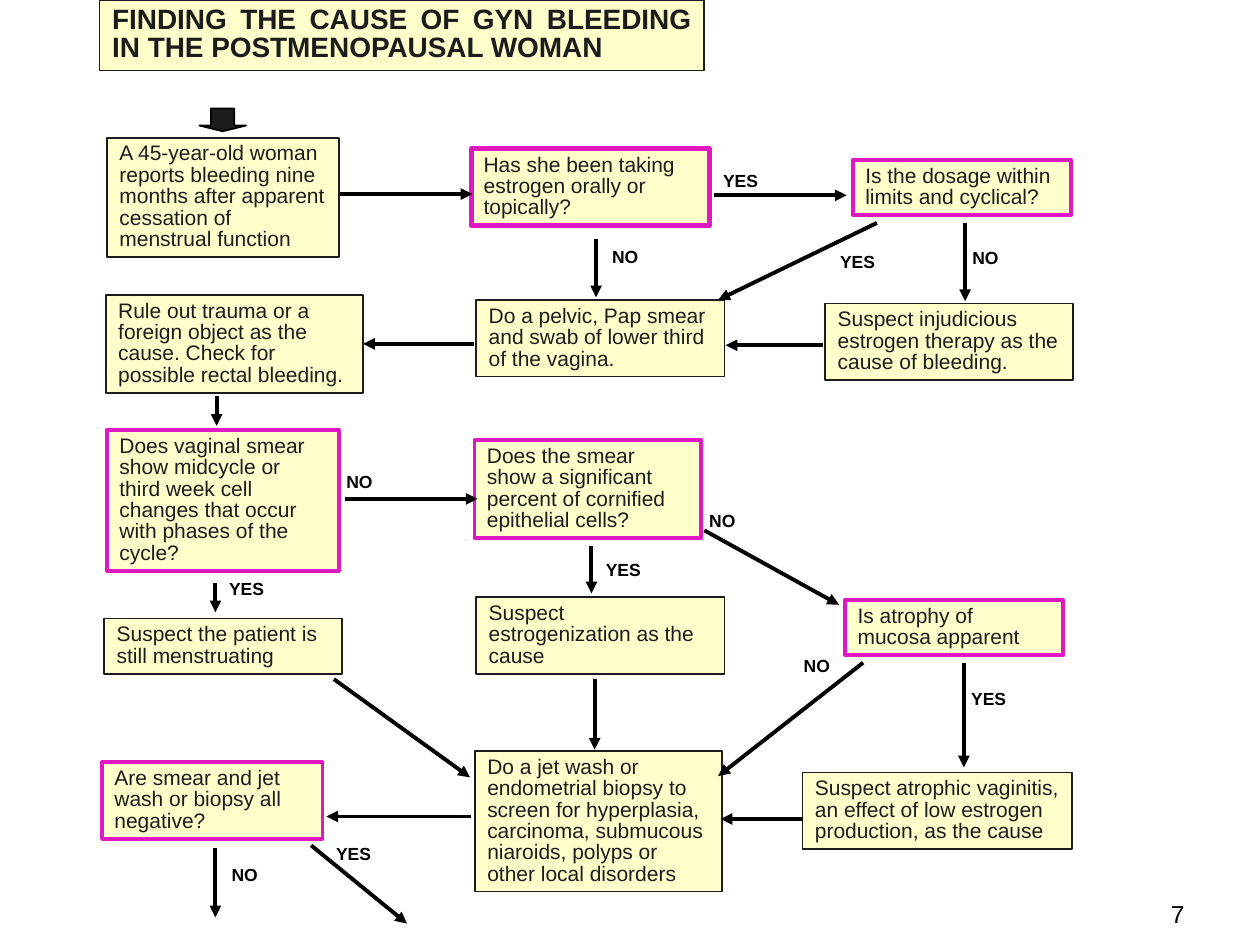
from lxml.etree import SubElement
from pptx import Presentation
from pptx.dml.color import RGBColor
from pptx.enum.shapes import MSO_CONNECTOR as CONN, MSO_SHAPE as SHAPE
from pptx.enum.text import MSO_ANCHOR as ANCHOR, MSO_AUTO_SIZE as AUTO, PP_ALIGN as ALIGN
from pptx.oxml.ns import qn
from pptx.util import Pt

CREAM = RGBColor(0xFF, 0xFF, 0xCC)
INK = RGBColor(0x1C, 0x1C, 0x1C)
MAGENTA = RGBColor(0xE1, 0x17, 0xC4)
BLACK = RGBColor(0, 0, 0)

TITLE = "FINDING THE CAUSE OF GYN BLEEDING IN THE POSTMENOPAUSAL WOMAN"

STEP, QUESTION, KEY_QUESTION = (INK, 1), (MAGENTA, 2.25), (MAGENTA, 3)
BOXES = {
    "patient": (61.2, 78.7, 132.5, 5, STEP,
                "A 45-year-old woman reports bleeding nine months after apparent cessation of menstrual function"),
    "estrogen": (269.3, 85, 136, 3, KEY_QUESTION, "Has she been taking estrogen orally or topically?"),
    "dosage": (487.4, 91.4, 124.6, 2, QUESTION, "Is the dosage within limits and cyclical?"),
    "trauma": (60.5, 168.5, 147, 4, STEP,
               "Rule out trauma or a foreign object as the cause. Check for possible rectal bleeding."),
    "pelvic": (272.2, 171.4, 141.8, 3, STEP, "Do a pelvic, Pap smear and swab of lower third of the vagina."),
    "therapy": (471.6, 173.5, 141.8, 3, STEP, "Suspect injudicious estrogen therapy as the cause of bleeding."),
    "midcycle": (61.2, 245.7, 132.5, 6, QUESTION,
                 "Does vaginal smear show midcycle or third week cell changes that occur with phases of the cycle?"),
    "cornified": (271.2, 251.5, 129.6, 4, QUESTION,
                  "Does the smear show a significant percent of cornified epithelial cells?"),
    "menstruating": (59.6, 353.5, 136, 2, STEP, "Suspect the patient is still menstruating"),
    "estrogenization": (272.2, 341.3, 141.8, 3, STEP, "Suspect estrogenization as the cause"),
    "atrophy": (483, 342.8, 124.6, 2, QUESTION, "Is atrophy of mucosa apparent"),
    "negative": (58.3, 435.6, 126, 3, QUESTION, "Are smear and jet wash or biopsy all negative?"),
    "biopsy": (271.4, 429.1, 141.1, 6, STEP,
               "Do a jet wash or endometrial biopsy to screen for hyperplasia, carcinoma, submucous niaroids, "
               "polyps or other local disorders"),
    "vaginitis": (458.6, 441.4, 154.1, 3, STEP,
                  "Suspect atrophic vaginitis, an effect of low estrogen production, as the cause"),
}

ACROSS_Y_X1_X2 = [
    (110.9, 194.4, 270), (111.6, 408.2, 483.8), (285.1, 197.3, 272.9),
    (197.3, 470.2, 414.7), (466.6, 269.3, 186.5), (468, 458.6, 411.8),
]
DOWN_X_Y1_Y2 = [
    (340.6, 136.8, 169.9), (123.8, 226.1, 243.4), (123.1, 333.4, 349.9), (551.5, 127.4, 172.1),
    (338, 311.8, 339.1), (550.8, 378.7, 438.5), (123.1, 484.6, 524.2), (339.8, 388.1, 428.4),
]
SLANTED = [
    (501.1, 127.4, 410.4, 171.4), (402.5, 303.1, 479.5, 345.6), (190.8, 388.1, 268.6, 444.2),
    (493.2, 378.7, 410.4, 443.5), (177.8, 483.1, 232.6, 527.8),
]

LABELS = {
    "YES": (37, [(406.1, 93.6), (123.8, 326.9), (473, 139.7), (339.1, 316.1), (547.9, 389.5), (185, 478.1)]),
    "NO": (31, [(342.7, 136.8), (190.8, 265.7), (548.6, 137.5), (398.2, 288), (452.2, 370.8), (125.3, 490.3)]),
}


def text_height(lines):
    return 7.2 + 12.2 * lines


def write(tf, text, size, color, bold=False, align=ALIGN.LEFT, spacing=None):
    p = tf.paragraphs[0]
    p.text = text
    p.alignment = align
    p.line_spacing = spacing
    f = p.font
    f.name, f.size, f.bold = "Arial", Pt(size), bold
    f.color.rgb = color


def paint(sp, fill, line, weight):
    sp.fill.solid()
    sp.fill.fore_color.rgb = fill
    sp.line.color.rgb = line
    sp.line.width = Pt(weight)


def set_frame(tf, wrap=True, auto_size=AUTO.SHAPE_TO_FIT_TEXT, anchor=ANCHOR.TOP):
    tf.word_wrap = wrap
    tf.auto_size = auto_size
    tf.vertical_anchor = anchor


def add_arrow(shapes, x1, y1, x2, y2):
    c = shapes.add_connector(CONN.STRAIGHT, Pt(x1), Pt(y1), Pt(x2), Pt(y2))
    c.line.color.rgb = BLACK
    c.line.width = Pt(2.25)
    sp_pr = c._element.spPr
    SubElement(sp_pr.find(qn("a:ln")), qn("a:tailEnd"), type="triangle")
    SubElement(sp_pr, qn("a:effectLst"))
    return c


def main():
    prs = Presentation()
    prs.slide_width, prs.slide_height = Pt(720), Pt(540)
    s = prs.slides.add_slide(prs.slide_layouts[5])
    shapes = s.shapes

    title = shapes.title
    title.left, title.top, title.width, title.height = Pt(56.9), Pt(0), Pt(345.6), Pt(40.3)
    paint(title, CREAM, INK, 1)
    set_frame(title.text_frame, auto_size=AUTO.NONE)
    write(title.text_frame, TITLE, 16, INK, True, ALIGN.JUSTIFY, 0.85)

    boxes = {}
    for name, (left, top, width, lines, border, text) in BOXES.items():
        sp = shapes.add_shape(SHAPE.RECTANGLE, Pt(left), Pt(top), Pt(width), Pt(text_height(lines)))
        sp.shadow.inherit = False
        paint(sp, CREAM, *border)
        set_frame(sp.text_frame)
        write(sp.text_frame, text, 12, INK, spacing=0.85)
        boxes[name] = sp

    start = shapes.add_shape(SHAPE.DOWN_ARROW, Pt(114), Pt(62), Pt(26.6), Pt(13))
    start.shadow.inherit = False
    start.adjustments[0], start.adjustments[1] = 0.5, 0.25
    paint(start, INK, BLACK, 1)

    for y, x1, x2 in ACROSS_Y_X1_X2:
        add_arrow(shapes, x1, y, x2, y)
    for x, y1, y2 in DOWN_X_Y1_Y2:
        add_arrow(shapes, x, y1, x, y2)
    for ends in SLANTED:
        add_arrow(shapes, *ends)
    add_arrow(shapes, 270.7, 196.5, 207.5, 196.5).end_connect(boxes["trauma"], 3)

    for text, (width, spots) in LABELS.items():
        for left, top in spots:
            tb = shapes.add_textbox(Pt(left), Pt(top), Pt(width), Pt(19.4))
            set_frame(tb.text_frame, wrap=False, auto_size=AUTO.NONE)
            write(tb.text_frame, text, 10, BLACK, True)

    number = shapes.add_textbox(Pt(534), Pt(498), Pt(150), Pt(36))
    set_frame(number.text_frame, auto_size=AUTO.NONE, anchor=ANCHOR.BOTTOM)
    write(number.text_frame, "7", 14, BLACK, align=ALIGN.RIGHT)

    prs.save("out.pptx")


if __name__ == "__main__":
    main()
